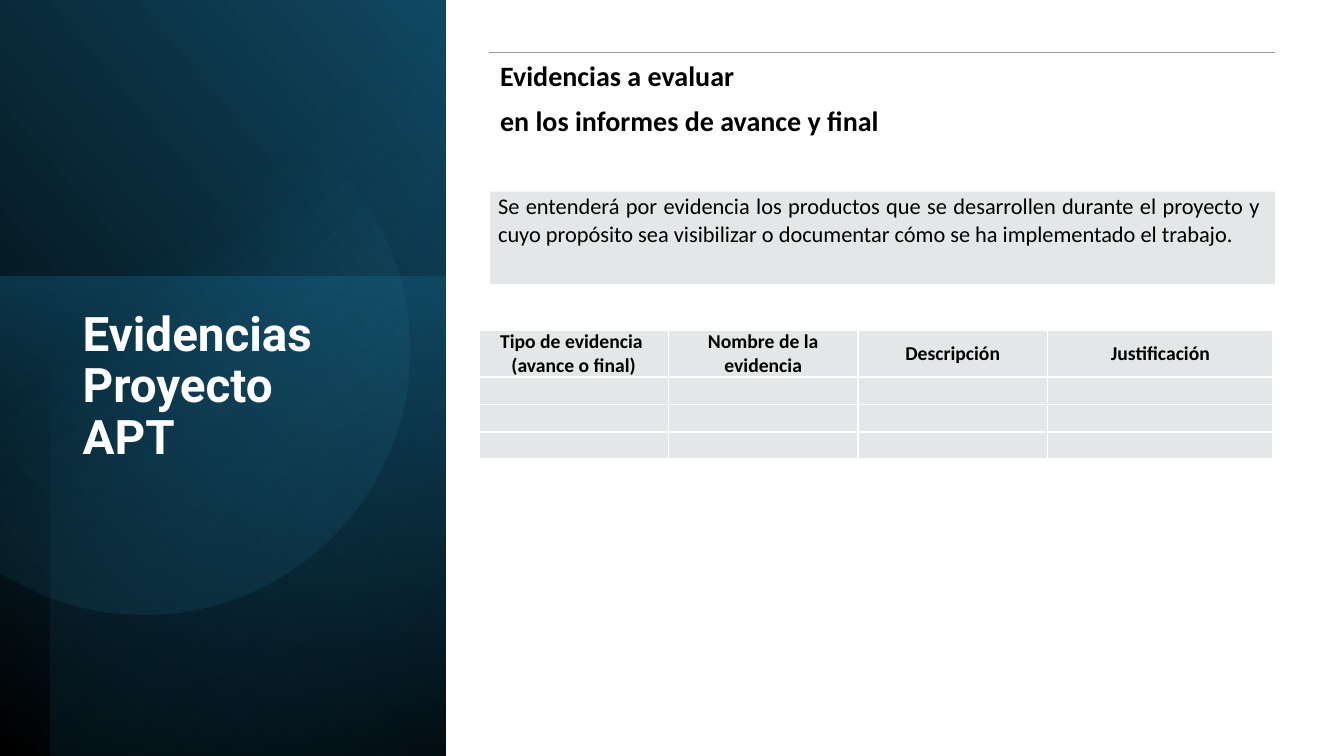
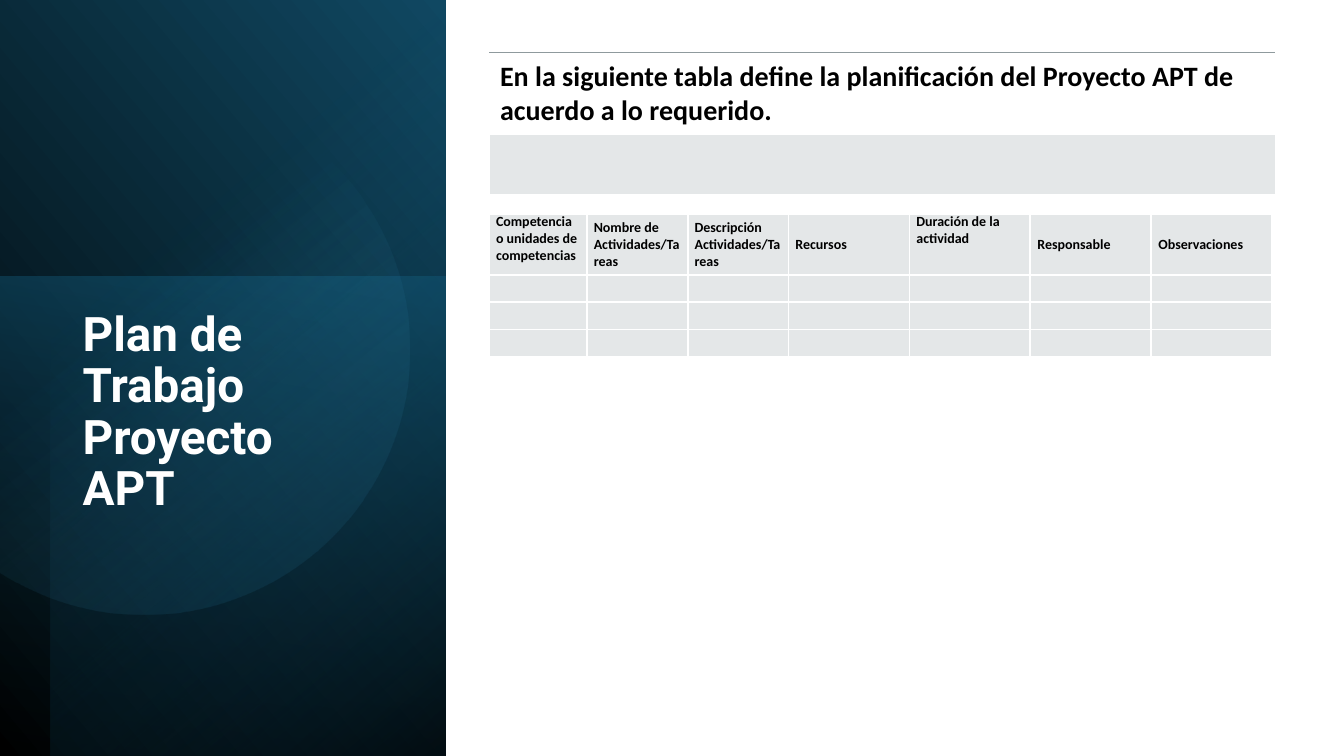
from math import acos, cos, sin
from lxml import etree
from pptx import Presentation
from pptx.dml.color import RGBColor
from pptx.enum.shapes import MSO_SHAPE
from pptx.enum.text import MSO_ANCHOR, MSO_AUTO_SIZE, PP_ALIGN
from pptx.oxml.ns import qn
from pptx.util import Pt

PX = 9144
RECTANGLE = MSO_SHAPE.RECTANGLE
LEFT, CENTER, JUSTIFY = PP_ALIGN.LEFT, PP_ALIGN.CENTER, PP_ALIGN.JUSTIFY
TOP, MIDDLE = MSO_ANCHOR.TOP, MSO_ANCHOR.MIDDLE
NO_AUTOFIT = MSO_AUTO_SIZE.NONE

WHITE = RGBColor(0xFF, 0xFF, 0xFF)
BLACK = RGBColor(0x00, 0x00, 0x00)
NAVY = RGBColor(0x10, 0x48, 0x62)
TEAL = RGBColor(0x15, 0x60, 0x82)
DEEP = RGBColor(0x0B, 0x30, 0x41)
SKY = RGBColor(0x46, 0xB1, 0xE1)
GRAY = RGBColor(0xB4, 0xBC, 0xBE)
RULE = RGBColor(0x8F, 0x9A, 0x9D)

PANELS = [
    {"box": (-155, 155, 752, 442), "rotation": 90, "flip": True, "angle": 310,
     "stops": [(0, BLACK, 100), (100, NAVY, 100)]},
    {"box": (-17, 291, 476, 442), "rotation": 270, "flip": False, "angle": 190,
     "stops": [(0, TEAL, 50), (100, DEEP, 0)]},
    {"box": (-129, 179, 750, 392), "rotation": 270, "flip": True, "angle": 220,
     "stops": [(0, BLACK, 59), (69, TEAL, 0)]},
]
DISC = {"center": (143, 347), "radius": 263, "angle": 52,
        "stops": [(39, SKY, 0), (100, NAVY, 26)]}
DISC_STEPS = 120

HEADING_MARGINS = (11, 7, 7, 7)
NOTE_MARGINS = (9, 2, 15, 19)
GRID_MARGINS = (7, 0, 7, 0)
HEADING_LEFT, HEADING_TOP, HEADING_WIDTH = 485, 52, 780
EMPTY_ROWS, EMPTY_ROW_HEIGHT = 3, 27

SLIDES = [
    {
        "title": ["Evidencias Proyecto ", "APT"],
        "title_box": (72, 303, 315, 336),
        "heading": ["Evidencias a evaluar", "en los informes de avance y final"],
        "note": ["Se entenderá por evidencia los productos que se desarrollen "
                 "durante el proyecto y cuyo propósito sea visibilizar o "
                 "documentar cómo se ha implementado el trabajo. "],
        "heading_rows": (138, 93),
        "grid_at": (475, 327),
        "columns": [(188, MIDDLE, ["Tipo de evidencia ", "(avance o final)"]),
                    (188, MIDDLE, ["Nombre de la evidencia"]),
                    (188, MIDDLE, ["Descripción"]),
                    (224, MIDDLE, ["Justificación"])],
        "header_height": 47,
        "header_style": {"size": 14, "bold": True, "align": CENTER},
    },
    {
        "title": ["Plan de Trabajo Proyecto ", "APT"],
        "title_box": (72, 303, 325, 336),
        "heading": ["En la siguiente tabla define la planificación del "
                    "Proyecto APT de acuerdo a lo requerido."],
        "note": [],
        "heading_rows": (82, 59),
        "grid_at": (485, 212),
        "columns": [(97, TOP, ["Competencia o unidades de competencias"]),
                    (100, MIDDLE, ["Nombre de Actividades/Tareas"]),
                    (100, MIDDLE, ["Descripción Actividades/Tareas"]),
                    (120, MIDDLE, ["Recursos"]),
                    (120, TOP, ["Duración de la actividad"]),
                    (120, MIDDLE, ["Responsable"]),
                    (120, MIDDLE, ["Observaciones"])],
        "header_height": 61,
        "header_style": {"size": 10, "bold": True, "align": LEFT, "after": 8},
    },
]


def px(*lengths):
    return [int(length * PX) for length in lengths]


def add_color(parent, color, alpha):
    node = etree.SubElement(parent, qn("a:srgbClr"), val=str(color))
    if alpha < 100:
        etree.SubElement(node, qn("a:alpha"), val=str(alpha * 1000))


def paint_gradient(shape, stops, angle):
    shape.shadow.inherit = False
    shape.line.fill.background()
    shape.fill.gradient()
    gradient = shape._element.spPr.find(qn("a:gradFill"))
    for child in list(gradient):
        gradient.remove(child)
    stop_list = etree.SubElement(gradient, qn("a:gsLst"))
    for position, color, alpha in stops:
        stop = etree.SubElement(stop_list, qn("a:gs"), pos=str(position * 1000))
        add_color(stop, color, alpha)
    etree.SubElement(gradient, qn("a:lin"), ang=str(angle * 60000), scaled="0")


def add_backdrop(slide):
    for panel in PANELS:
        rect = slide.shapes.add_shape(RECTANGLE, *px(*panel["box"]))
        rect.rotation = panel["rotation"]
        if panel["flip"]:
            rect._element.spPr.find(qn("a:xfrm")).set("flipH", "1")
        paint_gradient(rect, panel["stops"], panel["angle"])

    (cx, cy), radius = DISC["center"], DISC["radius"]
    reach = acos(-cx / radius)
    angles = [reach * (2 * i / DISC_STEPS - 1) for i in range(DISC_STEPS + 1)]
    points = [px(cx + radius * cos(a), cy + radius * sin(a)) for a in angles]
    outline = slide.shapes.build_freeform(*points[0])
    outline.add_line_segments(points[1:], close=True)
    paint_gradient(outline.convert_to_shape(), DISC["stops"], DISC["angle"])


def style_run(run, font, size, color, bold):
    run.font.name = font
    run.font.size = Pt(size)
    run.font.color.rgb = color
    run.font.bold = bold


def add_title(slide, lines, box):
    title = slide.shapes.title
    slide.shapes._spTree.append(title._element)
    title.left, title.top, title.width, title.height = px(*box)
    frame = title.text_frame
    frame.word_wrap = True
    frame.auto_size = NO_AUTOFIT
    frame.vertical_anchor = TOP
    paragraph = frame.paragraphs[0]
    paragraph.alignment = LEFT
    paragraph.line_spacing = 0.9
    paragraph.space_after = Pt(8)
    for index, line in enumerate(lines):
        if index:
            paragraph.add_line_break()
        run = paragraph.add_run()
        run.text = line
        style_run(run, "Roboto", 34, WHITE, True)


def add_table(slide, left, top, widths, heights):
    frame = slide.shapes.add_table(len(heights), len(widths),
                                   *px(left, top, sum(widths), sum(heights)))
    table = frame.table
    table.first_row = table.horz_banding = False
    for column, width in zip(table.columns, widths):
        column.width = px(width)[0]
    for row, height in zip(table.rows, heights):
        row.height = px(height)[0]
    return table


def fill_cell(cell, lines, margins, size, bold=False, align=LEFT, after=0, anchor=TOP):
    (cell.margin_left, cell.margin_top,
     cell.margin_right, cell.margin_bottom) = px(*margins)
    cell.vertical_anchor = anchor
    frame = cell.text_frame
    for index, line in enumerate(lines):
        paragraph = frame.add_paragraph() if index else frame.paragraphs[0]
        paragraph.alignment = align
        paragraph.space_after = Pt(after)
        run = paragraph.add_run()
        run.text = line
        style_run(run, "Calibri", size, BLACK, bold)
    if not lines:
        etree.SubElement(frame.paragraphs[0]._p, qn("a:endParaRPr"), sz=str(size * 100))


def dress_cell(cell, shaded, borders):
    props = cell._tc.get_or_add_tcPr()
    for side in "LRTB":
        line = etree.SubElement(props, qn("a:ln" + side), w=str(Pt(1.5)))
        if side in borders:
            add_color(etree.SubElement(line, qn("a:solidFill")), *borders[side])
        else:
            etree.SubElement(line, qn("a:noFill"))
    if shaded:
        add_color(etree.SubElement(props, qn("a:solidFill")), GRAY, 35)
    else:
        etree.SubElement(props, qn("a:noFill"))


def add_heading(slide, content):
    table = add_table(slide, HEADING_LEFT, HEADING_TOP, [HEADING_WIDTH],
                      content["heading_rows"])
    heading, note = table.cell(0, 0), table.cell(1, 0)
    fill_cell(heading, content["heading"], HEADING_MARGINS, 20, bold=True, after=8)
    dress_cell(heading, False, {"T": (RULE, 100)})
    fill_cell(note, content["note"], NOTE_MARGINS, 16, align=JUSTIFY)
    dress_cell(note, True, {side: (WHITE, 100) for side in "LRB"})


def add_grid(slide, content):
    columns = content["columns"]
    heights = [content["header_height"]] + [EMPTY_ROW_HEIGHT] * EMPTY_ROWS
    table = add_table(slide, *content["grid_at"], [c[0] for c in columns], heights)
    for index, (_, anchor, lines) in enumerate(columns):
        for row in range(len(heights)):
            cell = table.cell(row, index)
            if row:
                fill_cell(cell, [], GRID_MARGINS, 10)
            else:
                fill_cell(cell, lines, GRID_MARGINS, anchor=anchor,
                          **content["header_style"])
            dress_cell(cell, True, {side: (WHITE, 100) for side in "LRTB"})


def main():
    deck = Presentation()
    deck.slide_width, deck.slide_height = px(1333, 750)
    for content in SLIDES:
        slide = deck.slides.add_slide(deck.slide_layouts[5])
        add_backdrop(slide)
        add_title(slide, content["title"], content["title_box"])
        add_heading(slide, content)
        add_grid(slide, content)
    deck.save("out.pptx")


if __name__ == "__main__":
    main()
